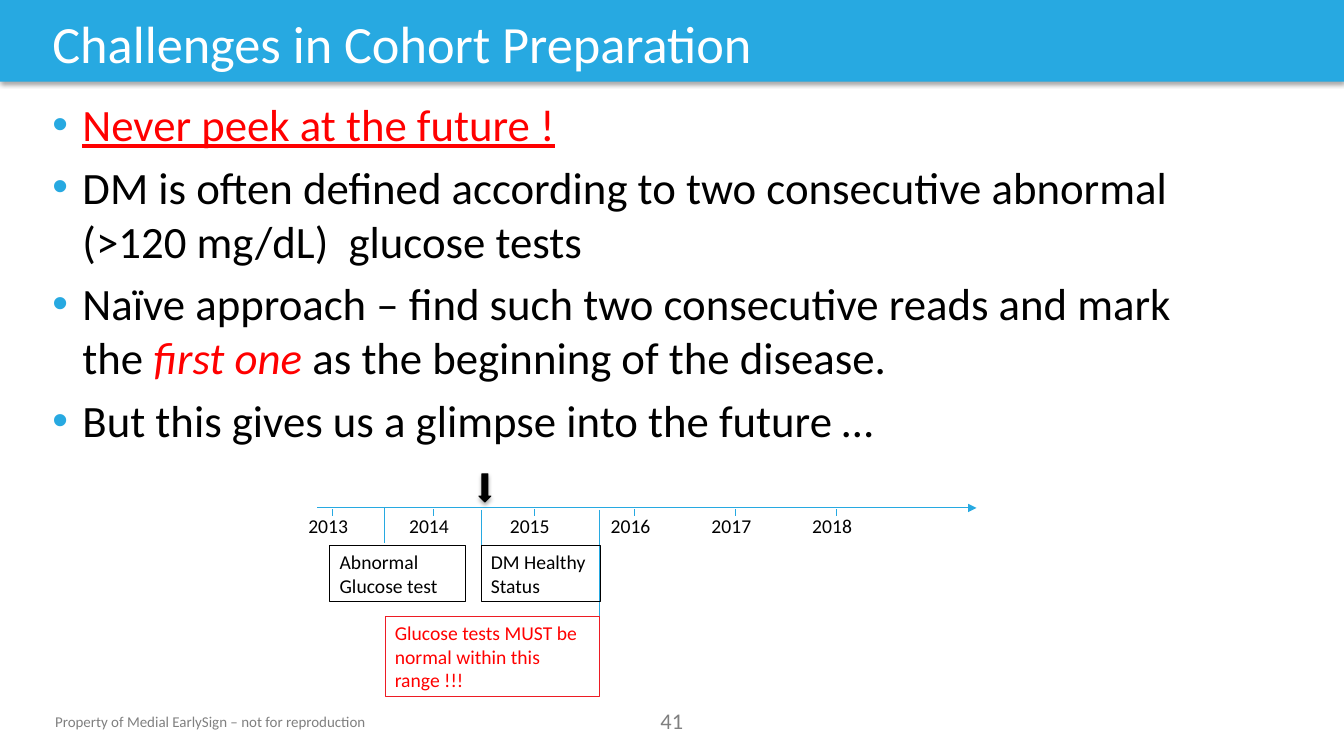
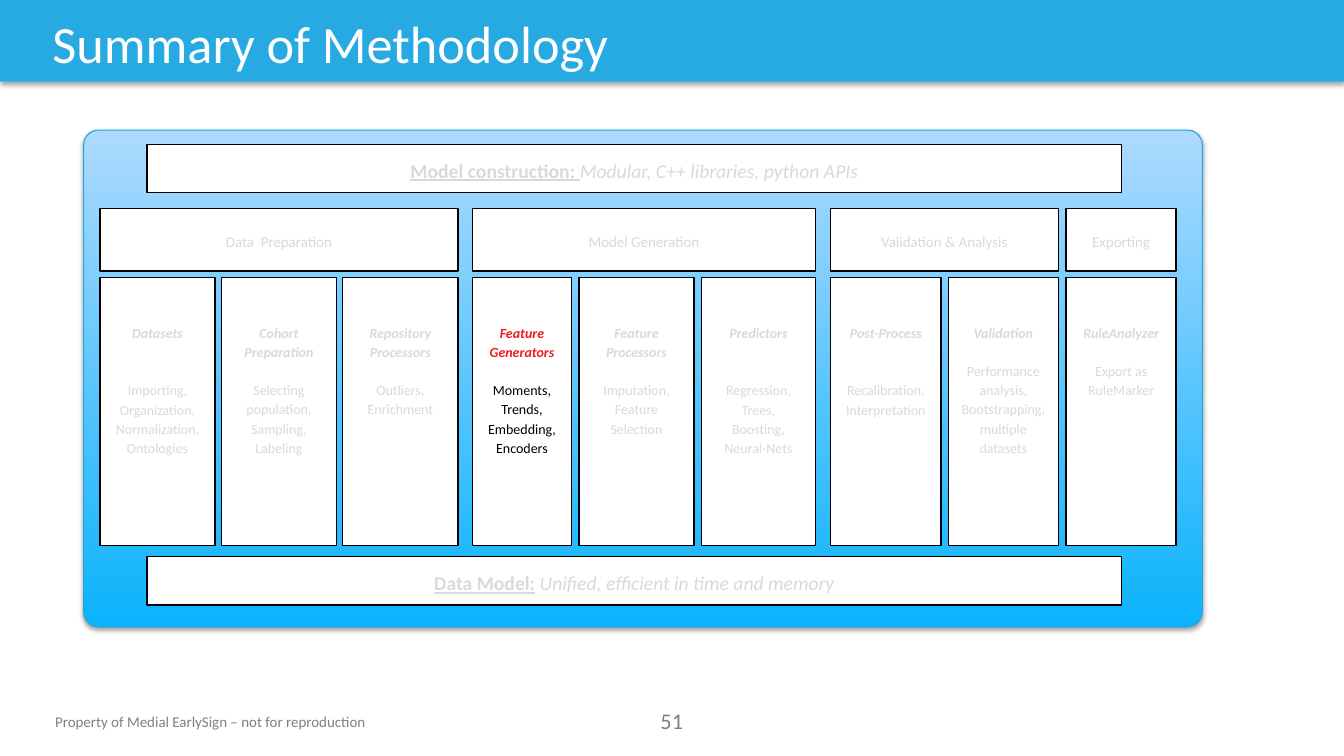
from pptx import Presentation, util as u
from pptx.dml import color
from pptx.enum import shapes, text
from pptx.oxml import parse_xml
from pptx.oxml.ns import qn

BLUE, RED, CRIMSON = "27A9E1", "FF0000", "ED1C24"
BLACK, WHITE, GREY, PALE = "000000", "FFFFFF", "808080", "D9D9D9"
FONT = "Calibri"
NS = 'xmlns:a="http://schemas.openxmlformats.org/drawingml/2006/main"'
Cm, Pt = u.Cm, u.Pt
KIND = shapes.MSO_SHAPE
MID = text.PP_ALIGN.CENTER


def rgb(code):
    return color.RGBColor.from_string(code)


# Text helpers
def add_run(para, words, size, tint=BLACK, bold=False, slant=False, under=False):
    run = para.add_run()
    run.text = words
    font = run.font
    font.name, font.size, font.color.rgb = FONT, Pt(size), rgb(tint)
    font.bold, font.italic, font.underline = bold, slant, under


def set_frame(shape, pad=(0.25, 0.13), wrap=True, anchor=text.MSO_ANCHOR.TOP):
    frame = shape.text_frame
    frame.word_wrap, frame.vertical_anchor = wrap, anchor
    frame.margin_left = frame.margin_right = Cm(pad[0])
    frame.margin_top = frame.margin_bottom = Cm(pad[1])
    return frame


def add_label(slide, box, words, size, tint=BLACK, align=text.PP_ALIGN.LEFT, **opts):
    label = slide.shapes.add_textbox(*map(Cm, box))
    para = set_frame(label, **opts).paragraphs[0]
    para.alignment = align
    add_run(para, words, size, tint)


def add_bullet(para, tint=BLUE):
    props = para._p.get_or_add_pPr()
    props.set("marL", str(Cm(0.76)))
    props.set("indent", str(-Cm(0.76)))
    props.append(parse_xml(f'<a:buClr {NS}><a:srgbClr val="{tint}"/></a:buClr>'))
    props.append(parse_xml(f'<a:buFont {NS} typeface="Arial"/>'))
    props.append(parse_xml(f'<a:buChar {NS} char="•"/>'))


# Shape helpers
def add_box(slide, box, fill=None, line=None, width=1, kind=KIND.RECTANGLE):
    shape = slide.shapes.add_shape(kind, *map(Cm, box))
    shape.shadow.inherit = False
    if fill:
        shape.fill.solid()
        shape.fill.fore_color.rgb = rgb(fill)
    else:
        shape.fill.background()
    if line:
        shape.line.color.rgb = rgb(line)
        shape.line.width = Pt(width)
    else:
        shape.line.fill.background()
    return shape


def add_shadow(shape):
    effect = shape._element.spPr.find(qn("a:effectLst"))
    effect.append(parse_xml(
        f'<a:outerShdw {NS} blurRad="{Pt(3.1)}" dist="{Pt(1.8)}" dir="5400000" '
        f'rotWithShape="0"><a:srgbClr val="{BLACK}"><a:alpha val="35000"/>'
        '</a:srgbClr></a:outerShdw>'))


def add_line(slide, x1, y1, x2, y2, arrow=False):
    line = slide.shapes.add_connector(
        shapes.MSO_CONNECTOR.STRAIGHT, Cm(x1), Cm(y1), Cm(x2), Cm(y2))
    line.line.color.rgb = rgb(BLUE)
    line.line.width = Pt(0.75)
    if arrow:
        line.line._get_or_add_ln().append(
            parse_xml(f'<a:tailEnd {NS} type="triangle"/>'))
    line._element.spPr.append(parse_xml(f'<a:effectLst {NS}/>'))


# Shared band, title and footer
def new_slide(deck, title, number):
    slide = deck.slides.add_slide(deck.slide_layouts[6])
    add_shadow(add_box(slide, (0, -0.02, 33.87, 2.08), BLUE))
    add_label(slide, (1.07, 0.15, 28.2, 1.85), title, 37.4, WHITE,
              anchor=text.MSO_ANCHOR.MIDDLE)
    add_label(slide, (1.14, 17.83, 8.33, 0.71),
              "Property of Medial EarlySign – not for reproduction",
              10.7, GREY, wrap=False)
    add_label(slide, (15.9, 17.7, 2.06, 0.94), number, 16, GREY, MID)
    return slide


# Bulleted text: each point is a list of (words, style)
def add_points(slide, box, points):
    frame = set_frame(slide.shapes.add_textbox(*map(Cm, box)))
    for i, point in enumerate(points):
        para = frame.add_paragraph() if i else frame.paragraphs[0]
        add_bullet(para)
        para.space_before = Pt(6.4 if i else 0)
        for words, style in point:
            add_run(para, words, 32, **style)


def add_years(slide, x, y):
    step = 2.54
    # Axis with ticks and years
    add_line(slide, x, y + 0.86, x + 16.61, y + 0.86, arrow=True)
    for i in range(6):
        tick = x + 0.38 + i * step
        add_line(slide, tick, y + 0.89, tick, y + 1.07)
        add_label(slide, (tick - 0.86, y + 0.89, 1.75, 0.84), str(2013 + i), 14)
    # Guides from the axis to the notes
    for left, top, end in ((1.7, 0.86, 1.75), (4.14, 0.91, 1.8), (7.11, 0.91, 3.63)):
        add_line(slide, x + left, y + top, x + left, y + end)
    # Notes
    notes = (
        (0.31, 1.8, 3.43, 1.42, "Abnormal Glucose test", BLACK, BLACK),
        (4.12, 1.8, 3.02, 1.42, "DM Healthy Status", BLACK, BLACK),
        (1.7, 3.58, 5.41, 2.03, "Glucose tests MUST be normal within this range !!!",
         RED, CRIMSON),
    )
    for left, top, w, h, words, tint, edge in notes:
        note = add_box(slide, (x + left, y + top, w, h), line=edge, width=0.5)
        para = set_frame(note).paragraphs[0]
        para.alignment = text.PP_ALIGN.LEFT
        add_run(para, words, 14, tint)
    # Marker for the present
    add_shadow(add_box(slide, (x + 4.07, y, 0.3, 0.71), BLACK, BLACK, 0.75,
                       KIND.DOWN_ARROW))


# Parts of the method panel
def add_bar(slide, box, runs, size):
    bar = add_box(slide, box, WHITE, BLACK)
    frame = set_frame(bar, (0.33, 0.18), anchor=text.MSO_ANCHOR.MIDDLE)
    para = frame.paragraphs[0]
    para.alignment, para.line_spacing = MID, 1.15
    for words, style in runs:
        add_run(para, words, size, PALE, **style)


def add_step(slide, box, head, body, gap, active):
    frame = set_frame(add_box(slide, box, WHITE, BLACK), (0.33, 0.18))
    frame.margin_top = Cm(1.12)
    first, rest = frame.paragraphs[0], frame.add_paragraph()
    for para in (first, rest):
        para.alignment, para.line_spacing = MID, 1.15
    first.space_after = Pt(gap)
    add_run(first, head, 10, CRIMSON if active else PALE, bold=True, slant=True)
    add_run(rest, body, 10, BLACK if active else PALE)


def add_panel(slide, x, y, w, h, groups, top, base):
    panel = add_box(slide, (x, y, w, h), BLUE, "21A7E1", 0.75, KIND.ROUNDED_RECTANGLE)
    panel.adjustments[0] = 0.03
    panel.fill.gradient()
    panel.fill.gradient_angle = 90
    for stop, code in zip(panel.fill.gradient_stops, ("0BB3FC", "AEDAFF")):
        stop.color.rgb = rgb(code)
    add_shadow(panel)
    # Full-width bars
    for drop, runs in ((0.36, top), (10.75, base)):
        add_bar(slide, (x + 1.6, y + drop, 24.56, 1.22), runs, 14)
    # Groups, each with equal gaps between its steps
    for left, wide, name, steps in groups:
        add_bar(slide, (x + left, y + 1.98, wide, 1.57), [(name, {})], 10.7)
        gap = (wide - sum(step[0] for step in steps)) / max(len(steps) - 1, 1)
        at = x + left
        for span, head, body, space in steps:
            add_step(slide, (at, y + 3.71, span, 6.76), head, body, space,
                     head == "Feature Generators")
            at += span + gap


NEAR, FAR = 13.3, 27.3
GROUPS = (
    (0.41, 9.02, "Data  Preparation", (
        (2.9, "Datasets", "Importing, Organization, Normalization, Ontologies", FAR),
        (2.9, "Cohort Preparation", "Selecting population, Sampling, Labeling", NEAR),
        (2.9, "Repository Processors", "Outliers, Enrichment", NEAR))),
    (9.8, 8.64, "Model Generation", (
        (2.49, "Feature Generators", "Moments, Trends, Embedding, Encoders", NEAR),
        (2.9, "Feature Processors", "Imputation, Feature Selection", NEAR),
        (2.87, "Predictors", "Regression, Trees, Boosting, Neural-Nets", FAR))),
    (18.82, 5.74, "Validation & Analysis", (
        (2.79, "Post-Process", "Recalibration, Interpretation", FAR),
        (2.77, "Validation",
         "Performance analysis, Bootstrapping, multiple datasets", NEAR))),
    (24.76, 2.77, "Exporting", (
        (2.77, "RuleAnalyzer", "Export as RuleMarker", NEAR),)),
)
POINTS = (
    [("Never peek at the future !", {"tint": RED, "under": True})],
    [("DM is often defined according to two consecutive abnormal "
      "(>120 mg/dL)  glucose tests", {})],
    [("Naïve approach – find such two consecutive reads and mark the ", {}),
     ("first one ", {"tint": RED, "slant": True}),
     ("as the beginning of the disease.", {})],
    [("But this gives us a glimpse into the future …", {})],
)


def main():
    deck = Presentation()
    deck.slide_width, deck.slide_height = Cm(33.87), Cm(19.05)

    slide = new_slide(deck, "Challenges in Cohort Preparation", "41")
    add_points(slide, (1.07, 2.31, 30, 16.1), POINTS)
    add_years(slide, 8, 11.94)

    slide = new_slide(deck, "Summary of Methodology", "51")
    strong, slant = {"bold": True, "under": True}, {"slant": True}
    add_panel(slide, 2.11, 3.28, 28.19, 12.52, GROUPS,
              [("Model construction: ", strong),
               ("Modular, C++ libraries, python APIs", slant)],
              [("Data Model:", strong), (" ", {}),
               ("Unified, efficient in time and memory", slant)])
    deck.save("out.pptx")


if __name__ == "__main__":
    main()
